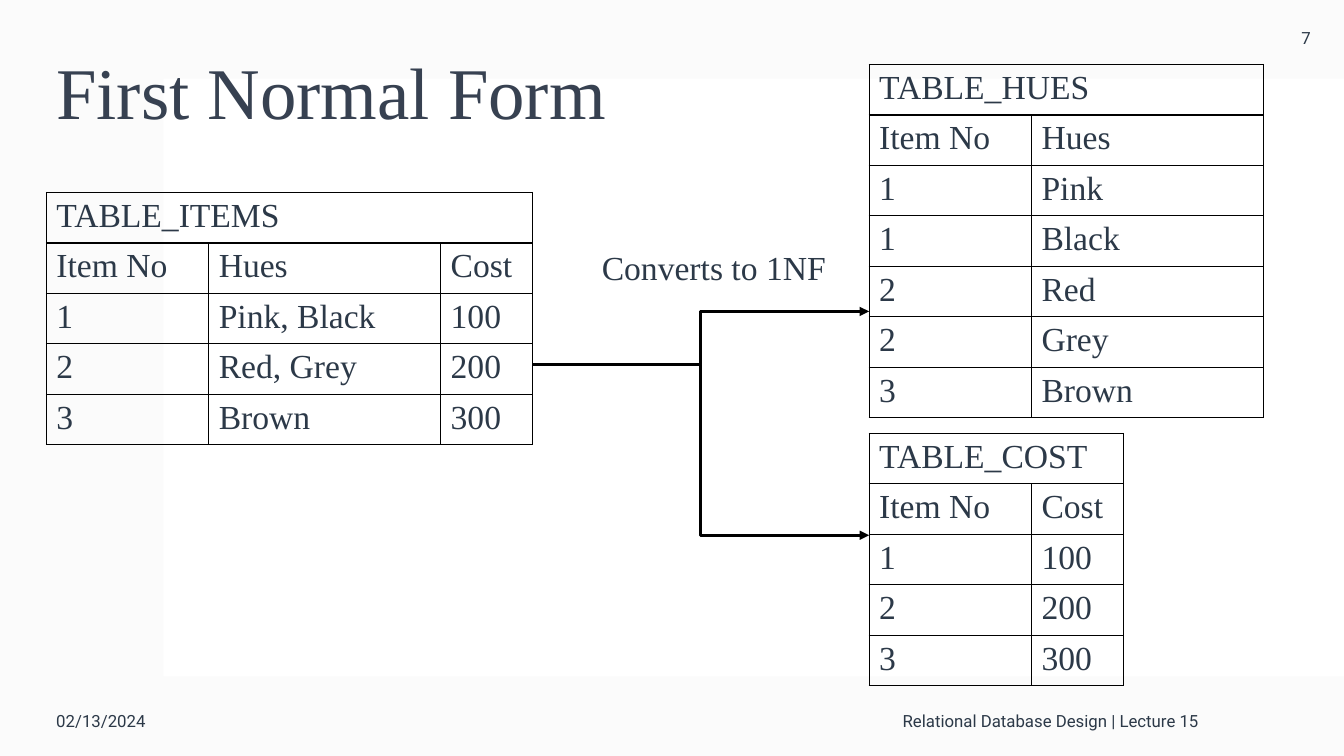
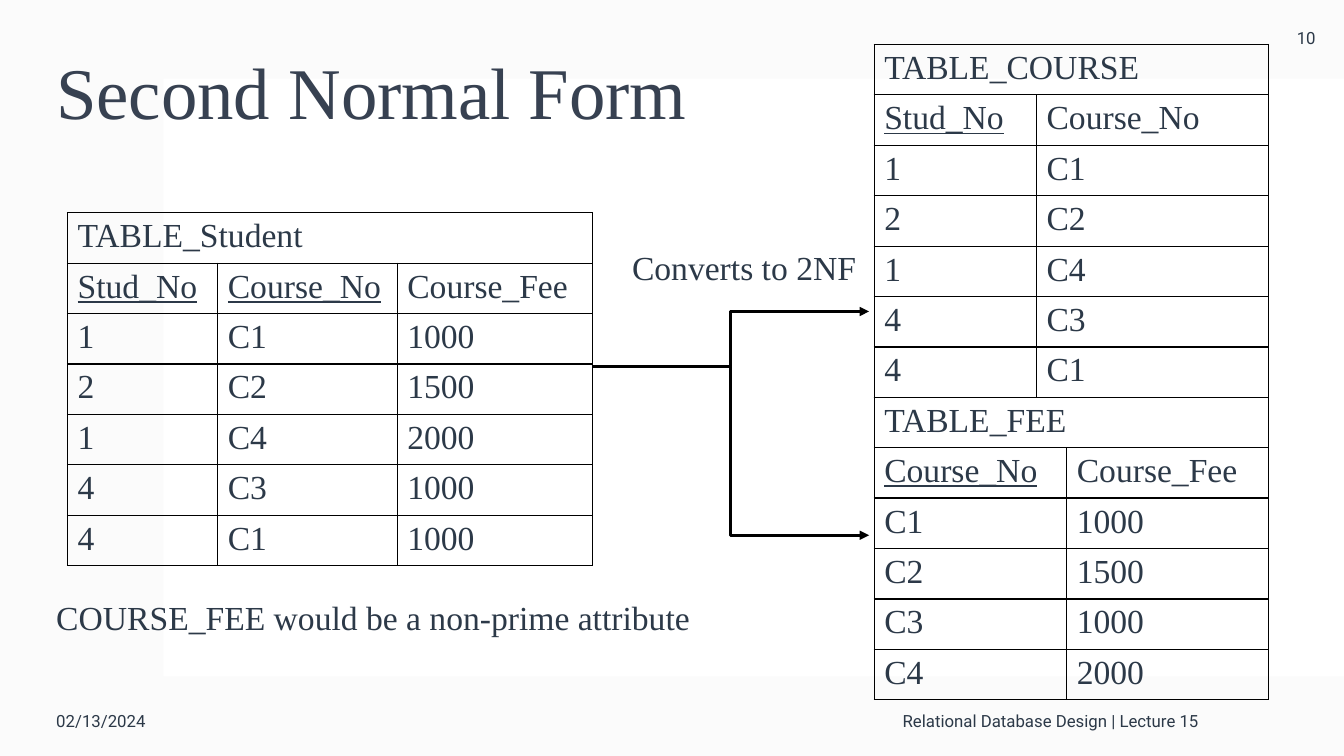
from dataclasses import dataclass

from lxml import etree
from pptx import Presentation
from pptx.dml.color import RGBColor
from pptx.enum.shapes import MSO_CONNECTOR, MSO_SHAPE
from pptx.enum.text import MSO_ANCHOR, PP_ALIGN
from pptx.oxml.ns import qn
from pptx.util import Inches, Pt

ELBOW = MSO_CONNECTOR.ELBOW
RECTANGLE = MSO_SHAPE.RECTANGLE
TOP, MIDDLE = MSO_ANCHOR.TOP, MSO_ANCHOR.MIDDLE
LEFT, CENTER, RIGHT = PP_ALIGN.LEFT, PP_ALIGN.CENTER, PP_ALIGN.RIGHT


@dataclass(frozen=True)
class Theme:
    ink: str = "2C3948"
    title_ink: str = "374151"
    line: str = "000000"
    wash: str = "F4F4F4"
    wash_alpha: int = 35
    panel: str = "FFFFFF"
    serif: str = "Times New Roman"
    sans: str = "Roboto"
    title_size: int = 52
    body_size: int = 24
    footer_size: int = 12
    border: float = 1
    arrow: float = 2.25


THEME = Theme()
PAGE_WIDTH, PAGE_HEIGHT = 13.33, 7.5
MARGIN = 0.46
ROW_HEIGHT = 0.47
ARROW_TIP_X = 8.62
ARROW_TIPS_Y = (3.09, 5.31)
DATE = "02/13/2024"
COURSE = "Relational Database Design | Lecture 15"


def inches(box):
    return [Inches(length) for length in box]


def add_span(para, text, size, font=THEME.serif, color=THEME.ink, underline=None):
    span = para.add_run()
    span.text = text
    span.font.name = font
    span.font.size = Pt(size)
    span.font.color.rgb = RGBColor.from_string(color)
    span.font.underline = underline


def add_text(page, box, text, size, anchor=TOP, align=LEFT, wrap=True,
             spacing=None, after=None, **style):
    frame = page.shapes.add_textbox(*inches(box)).text_frame
    frame.word_wrap = wrap
    frame.vertical_anchor = anchor
    para = frame.paragraphs[0]
    para.alignment = align
    para.line_spacing = spacing
    if after:
        para.space_after = Pt(after)
    add_span(para, text, size, **style)


def add_panel(page, box, color, alpha=100):
    panel = page.shapes.add_shape(RECTANGLE, *inches(box))
    panel.shadow.inherit = False
    panel.line.fill.background()
    panel.fill.solid()
    panel.fill.fore_color.rgb = RGBColor.from_string(color)
    if alpha < 100:
        tint = panel.fill._xPr.find(".//" + qn("a:srgbClr"))
        etree.SubElement(tint, qn("a:alpha"), val=str(alpha * 1000))


def add_page(deck, title, number):
    """Add a slide with the shared backdrop, title and footers."""
    page = deck.slides.add_slide(deck.slide_layouts[6])
    add_panel(page, (0, 0, PAGE_WIDTH, PAGE_HEIGHT), THEME.wash, THEME.wash_alpha)
    add_panel(page, (1.62, 0.78, PAGE_WIDTH - 1.62, 5.93), THEME.panel)
    add_text(page, (MARGIN, 0.23, 12.12, 1.45), title, THEME.title_size,
             MIDDLE, spacing=0.9, color=THEME.title_ink)
    footer = {"size": THEME.footer_size, "anchor": MIDDLE, "font": THEME.sans}
    add_text(page, (MARGIN, 6.8, 3, 0.7), DATE, after=6, **footer)
    add_text(page, (4.12, 6.8, 7.87, 0.7), COURSE, align=RIGHT, after=6, **footer)
    add_text(page, (12.58, 0, 0.75, 0.75), str(number), align=CENTER, **footer)
    return page


def frame_cell(cell):
    """Give a cell thin borders on every side and no fill."""
    properties = cell._tc.get_or_add_tcPr()
    for side in ("a:lnL", "a:lnR", "a:lnT", "a:lnB"):
        edge = etree.SubElement(properties, qn(side), w=str(Pt(THEME.border)))
        fill = etree.SubElement(edge, qn("a:solidFill"))
        etree.SubElement(fill, qn("a:srgbClr"), val=THEME.line)
    cell.fill.background()


def add_relation(page, left, top, widths, name, header, records, keys=0):
    """Draw a named relation; the first `keys` headings are underlined."""
    rows = [[name], header, *records]
    box = (left, top, sum(widths), ROW_HEIGHT * len(rows))
    table = page.shapes.add_table(len(rows), len(widths), *inches(box)).table
    table.first_row = table.horz_banding = False
    for column, width in zip(table.columns, widths):
        column.width = Inches(width)
    for row in table.rows:
        row.height = Inches(ROW_HEIGHT)
        for cell in row.cells:
            frame_cell(cell)
    table.cell(0, 0).merge(table.cell(0, len(widths) - 1))
    for row_index, values in enumerate(rows):
        for column_index, value in enumerate(values):
            is_key = row_index == 1 and column_index < keys
            para = table.cell(row_index, column_index).text_frame.paragraphs[0]
            add_span(para, value, THEME.body_size, underline=is_key or None)


def add_split(page, left, top, label, label_left):
    """Fork from one relation to the two it is split into."""
    add_text(page, (label_left, 2.4, 2.45, 0.5), label, THEME.body_size, wrap=False)
    for tip in ARROW_TIPS_Y:
        ends = inches((left, top, ARROW_TIP_X, tip))
        arrow = page.shapes.add_connector(ELBOW, *ends)
        arrow.line.width = Pt(THEME.arrow)
        arrow.line.color.rgb = RGBColor.from_string(THEME.line)
        etree.SubElement(arrow.line._get_or_add_ln(), qn("a:tailEnd"), type="triangle")
        etree.SubElement(arrow._element.spPr, qn("a:effectLst"))


def first_normal_form(deck):
    page = add_page(deck, "First Normal Form", 7)
    add_relation(page, MARGIN, 1.91, (1.61, 2.3, 0.91), "TABLE_ITEMS",
                 ("Item No", "Hues", "Cost"),
                 [("1", "Pink, Black", "100"), ("2", "Red, Grey", "200"),
                  ("3", "Brown", "300")])
    add_relation(page, 8.62, 0.64, (1.61, 2.3), "TABLE_HUES", ("Item No", "Hues"),
                 [("1", "Pink"), ("1", "Black"), ("2", "Red"), ("2", "Grey"),
                  ("3", "Brown")])
    add_relation(page, 8.62, 4.3, (1.61, 0.91), "TABLE_COST", ("Item No", "Cost"),
                 [("1", "100"), ("2", "200"), ("3", "300")])
    add_split(page, 5.28, 3.62, "Converts to 1NF", 5.87)


def second_normal_form(deck):
    page = add_page(deck, "Second Normal Form", 10)
    enrolments = [("1", "C1", "1000"), ("2", "C2", "1500"), ("1", "C4", "2000"),
                  ("4", "C3", "1000"), ("4", "C1", "1000")]
    add_relation(page, 0.67, 2.11, (1.49, 1.78, 1.94), "TABLE_Student",
                 ("Stud_No", "Course_No", "Course_Fee"), enrolments, keys=2)
    add_relation(page, 8.67, 0.44, (1.61, 2.3), "TABLE_COURSE",
                 ("Stud_No", "Course_No"),
                 [record[:2] for record in enrolments], keys=1)
    fees = sorted({record[1:] for record in enrolments})
    add_relation(page, 8.67, 3.94, (1.91, 2), "TABLE_FEE",
                 ("Course_No", "Course_Fee"), fees, keys=1)
    add_split(page, 5.87, 3.64, "Converts to 2NF", 6.17)
    add_text(page, (MARGIN, 5.87, 6.54, 0.5),
             "COURSE_FEE would be a non-prime attribute", THEME.body_size, wrap=False)


def main():
    deck = Presentation()
    deck.slide_width, deck.slide_height = inches((PAGE_WIDTH, PAGE_HEIGHT))
    first_normal_form(deck)
    second_normal_form(deck)
    deck.save("out.pptx")


if __name__ == "__main__":
    main()
